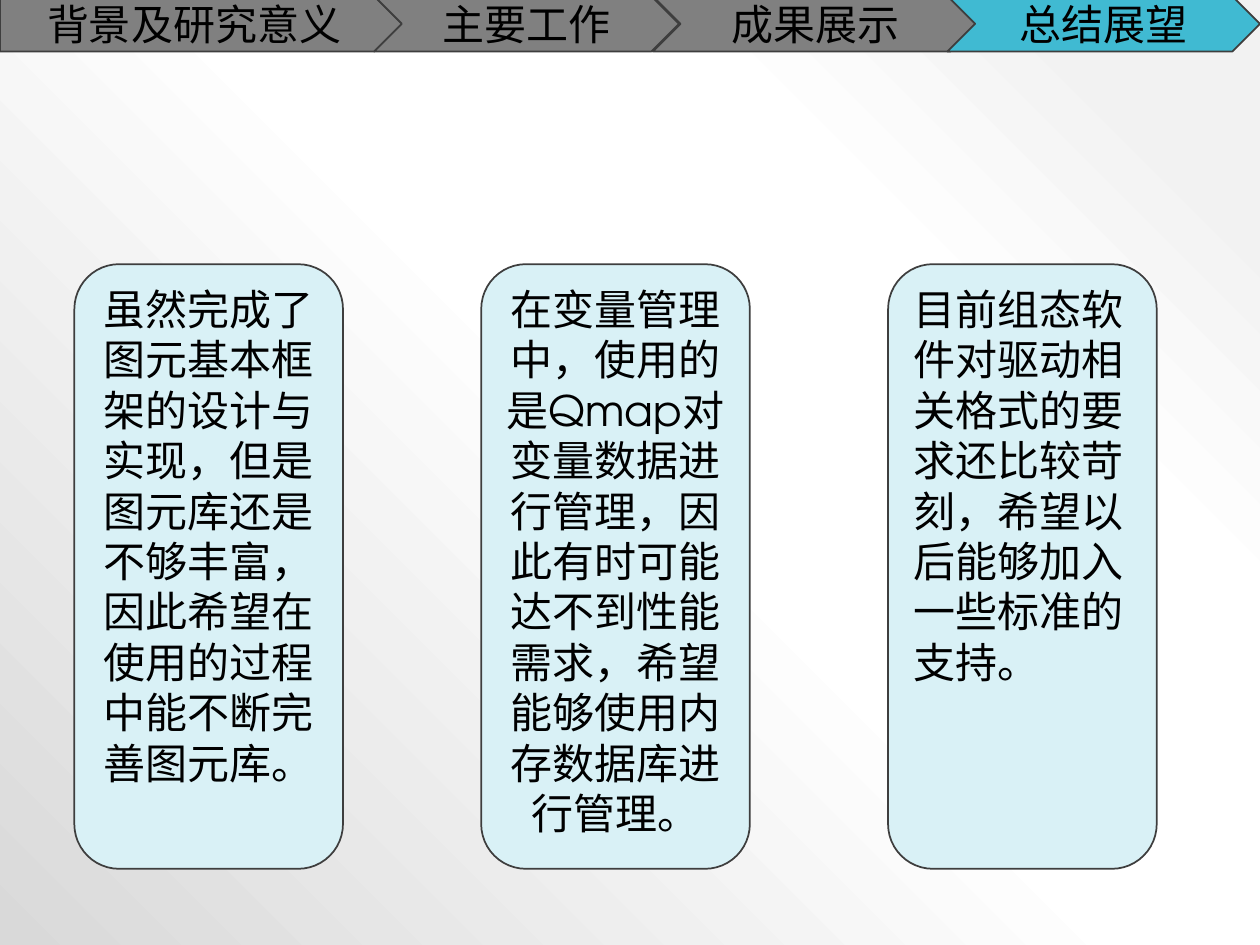
from dataclasses import dataclass

from lxml.etree import SubElement
from pptx import Presentation
from pptx.dml.color import RGBColor as Rgb
from pptx.enum.shapes import MSO_SHAPE as Kind
from pptx.enum.text import MSO_ANCHOR as Anchor, PP_ALIGN as Align
from pptx.oxml.ns import qn
from pptx.util import Pt


@dataclass(frozen=True)
class Theme:
    font: str = "TeX Gyre Adventor"
    size: float = 24
    ink: str = "000000"
    edge: str = "3E3E3E"
    rule: float = 1
    idle: str = "808080"
    live: str = "40BAD2"
    card: str = "D9F1F6"
    glow: tuple = ((10, "F2F2F2"), (28, "FFFFFF"), (48, "FFFFFF"), (100, "D9D9D9"))


THEME = Theme()

STEPS = [
    ("背景及研究意义", 0, 229.7),
    ("主要工作", 213.8, 174.2),
    ("成果展示", 373, 185.8),
    ("总结展望", 541.4, 178.6),
]

NOTES = [
    ("虽然完成了图元基本框架的设计与实现，但是图元库还是不够丰富，"
     "因此希望在使用的过程中能不断完善图元库。", Align.CENTER),
    ("在变量管理中，使用的是Qmap对变量数据进行管理，因此有时可能达不到性能需求，"
     "希望能够使用内存数据库进行管理。", Align.CENTER),
    ("目前组态软件对驱动相关格式的要求还比较苛刻，希望以后能够加入一些标准的支持。",
     Align.LEFT),
]


def add_back(slide):
    fill = slide.background.fill
    fill.gradient()
    grad = slide.element.find(".//" + qn("a:gradFill"))
    for node in list(grad):
        grad.remove(node)
    stops = SubElement(grad, qn("a:gsLst"))
    for pos, tint in THEME.glow:
        stop = SubElement(stops, qn("a:gs"), pos=str(pos * 1000))
        SubElement(stop, qn("a:srgbClr"), val=tint)
    ring = SubElement(grad, qn("a:path"), path="circle")
    SubElement(ring, qn("a:fillToRect"), l="100000", b="100000")


def add_block(slide, kind, box, tint, text, align, anchor):
    shape = slide.shapes.add_shape(kind, *map(Pt, box))
    shape.shadow.inherit = False
    shape.fill.solid()
    shape.fill.fore_color.rgb = Rgb.from_string(tint)
    shape.line.color.rgb = Rgb.from_string(THEME.edge)
    shape.line.width = Pt(THEME.rule)
    frame = shape.text_frame
    frame.word_wrap = True
    frame.vertical_anchor = anchor
    para = frame.paragraphs[0]
    para.alignment = align
    run = para.add_run()
    run.text = text
    run.font.name = THEME.font
    run.font.size = Pt(THEME.size)
    run.font.color.rgb = Rgb.from_string(THEME.ink)


def add_nav(slide, box, steps, live):
    left, top, _, high = box
    for i, (text, x, wide) in enumerate(steps):
        kind = Kind.CHEVRON if i else Kind.PENTAGON
        tint = THEME.live if i == live else THEME.idle
        add_block(slide, kind, (left + x, top, wide, high), tint, text,
                  Align.CENTER, Anchor.MIDDLE)


def add_cards(slide, box, notes, wide):
    left, top, span, high = box
    pitch = (span - wide) / (len(notes) - 1)
    for i, (text, align) in enumerate(notes):
        add_block(slide, Kind.ROUNDED_RECTANGLE,
                  (left + i * pitch, top, wide, high), THEME.card, text,
                  align, Anchor.TOP)


def main():
    deck = Presentation()
    deck.slide_width, deck.slide_height = Pt(720), Pt(540)
    slide = deck.slides.add_slide(deck.slide_layouts[6])
    add_back(slide)
    add_nav(slide, (0, -2.2, 720, 31.7), STEPS, live=3)
    add_cards(slide, (42.5, 151, 618.5, 345.5), NOTES, wide=153.5)
    deck.save("out.pptx")


if __name__ == "__main__":
    main()
